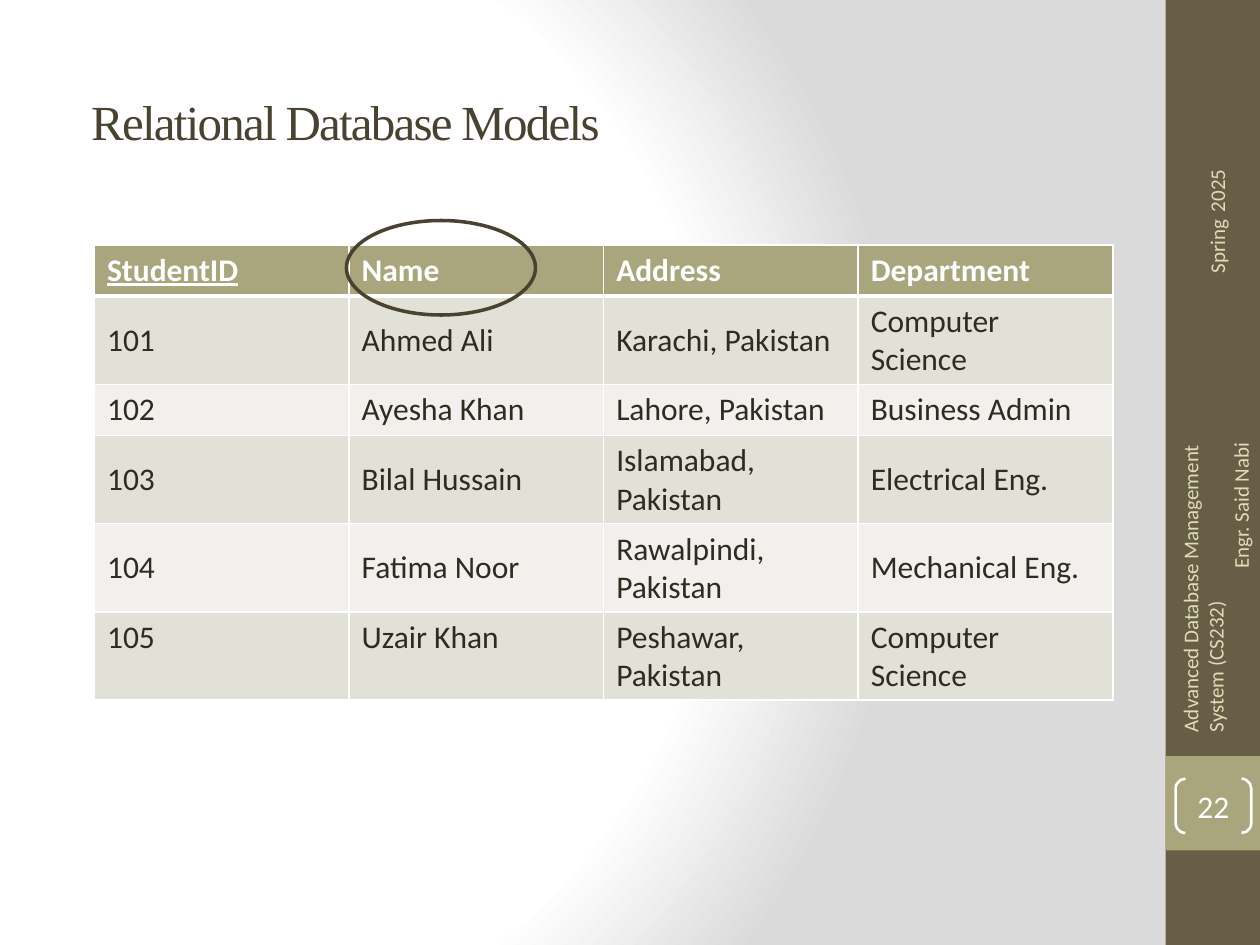
import pptx
import pptx.util
import pptx.dml.color
import pptx.enum.shapes
import pptx.enum.text
import pptx.oxml
import pptx.oxml.ns
from lxml import etree

Pt = pptx.util.Pt
SHAPE = pptx.enum.shapes.MSO_SHAPE
ALIGN = pptx.enum.text.PP_ALIGN
ANCHOR = pptx.enum.text.MSO_ANCHOR

COLORS = {
    "white": "FFFFFF",
    "grey": "DADADA",
    "bar": "675E47",
    "accent": "A9A57C",
    "dark": "494231",
    "ink": "2F2B20",
    "band_odd": "E2E1D7",
    "band_even": "F1F0EC",
    "footer": "DFDCB7",
}
ROWS = [
    ["StudentID", "Name", "Address", "Department"],
    ["101", "Ahmed Ali", "Karachi, Pakistan", "Computer Science"],
    ["102", "Ayesha Khan", "Lahore, Pakistan", "Business Admin"],
    ["103", "Bilal Hussain", "Islamabad, Pakistan", "Electrical Eng."],
    ["104", "Fatima Noor", "Rawalpindi, Pakistan", "Mechanical Eng."],
    ["105", "Uzair Khan", "Peshawar, Pakistan", "Computer Science"],
]


def rgb(name):
    return pptx.dml.color.RGBColor.from_string(COLORS[name])


def add_run(p, text, size=18, color="ink", font="Calibri", bold=False,
            underline=False, spacing=None):
    r = p.add_run()
    r.text = text
    r.font.name = font
    r.font.size = Pt(size)
    r.font.bold = bold
    r.font.underline = underline
    r.font.color.rgb = rgb(color)
    if spacing is not None:
        r.font._element.set("spc", str(round(spacing * 100)))


def set_background(s):
    """Radial gradient that turns from white to grey."""
    s.background.fill.gradient()
    old = s._element.find(".//" + pptx.oxml.ns.qn("a:gradFill"))
    stops = [(0, "white"), (75, "white"), (100, "grey")]
    gs = "".join(f'<a:gs pos="{pos * 1000}"><a:srgbClr val="{COLORS[c]}"/></a:gs>'
                 for pos, c in stops)
    old.getparent().replace(old, pptx.oxml.parse_xml(
        f'<a:gradFill {pptx.oxml.ns.nsdecls("a")} rotWithShape="1">'
        f'<a:gsLst>{gs}</a:gsLst><a:path path="circle">'
        '<a:fillToRect l="20000" t="50000" r="100000" b="50000"/>'
        '</a:path></a:gradFill>'))


def add_shape(s, kind, box, fill=None, line=None, width=1):
    sp = s.shapes.add_shape(kind, *map(Pt, box))
    sp.shadow.inherit = False
    if fill:
        sp.fill.solid()
        sp.fill.fore_color.rgb = rgb(fill)
    else:
        sp.fill.background()
    if line:
        sp.line.color.rgb = rgb(line)
        sp.line.width = Pt(width)
    else:
        sp.line.fill.background()
    return sp


def add_textbox(s, box, rotation=0, anchor=ANCHOR.MIDDLE, wrap=True):
    sp = s.shapes.add_textbox(*map(Pt, box))
    sp.rotation = rotation
    tf = sp.text_frame
    tf.word_wrap = wrap
    tf.vertical_anchor = anchor
    return tf


def set_borders(cell, top=1, bottom=1):
    tcPr = cell._tc.get_or_add_tcPr()
    widths = {"lnL": 1, "lnR": 1, "lnT": top, "lnB": bottom}
    for i, (tag, width) in enumerate(widths.items()):
        ln = etree.Element(pptx.oxml.ns.qn("a:" + tag), w=str(Pt(width)))
        fill = etree.SubElement(ln, pptx.oxml.ns.qn("a:solidFill"))
        etree.SubElement(fill, pptx.oxml.ns.qn("a:srgbClr"), val=COLORS["white"])
        tcPr.insert(i, ln)


def add_student_table(s):
    table = s.shapes.add_table(len(ROWS), len(ROWS[0]), Pt(54), Pt(140),
                               Pt(582), Pt(29.2 * len(ROWS))).table
    table.horz_banding = False
    for i, row in enumerate(ROWS):
        header = i == 0
        fill = "accent" if header else "band_odd" if i % 2 else "band_even"
        for j, text in enumerate(row):
            cell = table.cell(i, j)
            last = i == len(ROWS) - 1
            cell.vertical_anchor = ANCHOR.TOP if last else ANCHOR.MIDDLE
            cell.fill.solid()
            cell.fill.fore_color.rgb = rgb(fill)
            set_borders(cell, top=3 if i == 1 else 1, bottom=3 if header else 1)
            add_run(cell.text_frame.paragraphs[0], text, bold=header,
                    color="white" if header else "ink",
                    underline=header and j == 0)


def add_sidebar(s):
    add_shape(s, SHAPE.RECTANGLE, (666, 0, 54, 540), fill="bar")
    add_shape(s, SHAPE.RECTANGLE, (666, 432, 54, 54), fill="accent")

    tf = add_textbox(s, (601.2, 324.7, 186.5, 28.8), rotation=270)
    tf.margin_left = Pt(14)
    add_run(tf.paragraphs[0], "Advanced Database Management System (CS232)",
            size=12, color="footer")
    p = tf.add_paragraph()
    p.alignment = ALIGN.RIGHT
    add_run(p, "Engr. Said Nabi", size=12, color="footer")

    tf = add_textbox(s, (655.9, 111.6, 74.2, 28.8), rotation=270,
                     anchor=ANCHOR.TOP, wrap=False)
    for text, size in [("Spring", 12), (" ", 18), ("2025", 12)]:
        add_run(tf.paragraphs[0], text, size=size, color="footer")

    sp = add_shape(s, SHAPE.DOUBLE_BRACKET, (671.8, 445, 43.2, 31),
                   line="white", width=1.5)
    sp.adjustments[0] = 0.18
    tf = sp.text_frame
    tf.margin_left = tf.margin_right = tf.margin_top = tf.margin_bottom = 0
    tf.vertical_anchor = ANCHOR.MIDDLE
    tf.paragraphs[0].alignment = ALIGN.CENTER
    add_run(tf.paragraphs[0], "22", color="white")


def main():
    prs = pptx.Presentation()
    prs.slide_width, prs.slide_height = Pt(720), Pt(540)
    s = prs.slides.add_slide(prs.slide_layouts[6])
    set_background(s)
    add_sidebar(s)
    add_student_table(s)
    tf = add_textbox(s, (45, 24, 600, 90))
    add_run(tf.paragraphs[0], "Relational Database Models", size=28,
            color="dark", font="Times New Roman", spacing=-1)
    add_shape(s, SHAPE.OVAL, (198, 126, 108, 54), line="dark", width=2)
    prs.save("out.pptx")


if __name__ == "__main__":
    main()
